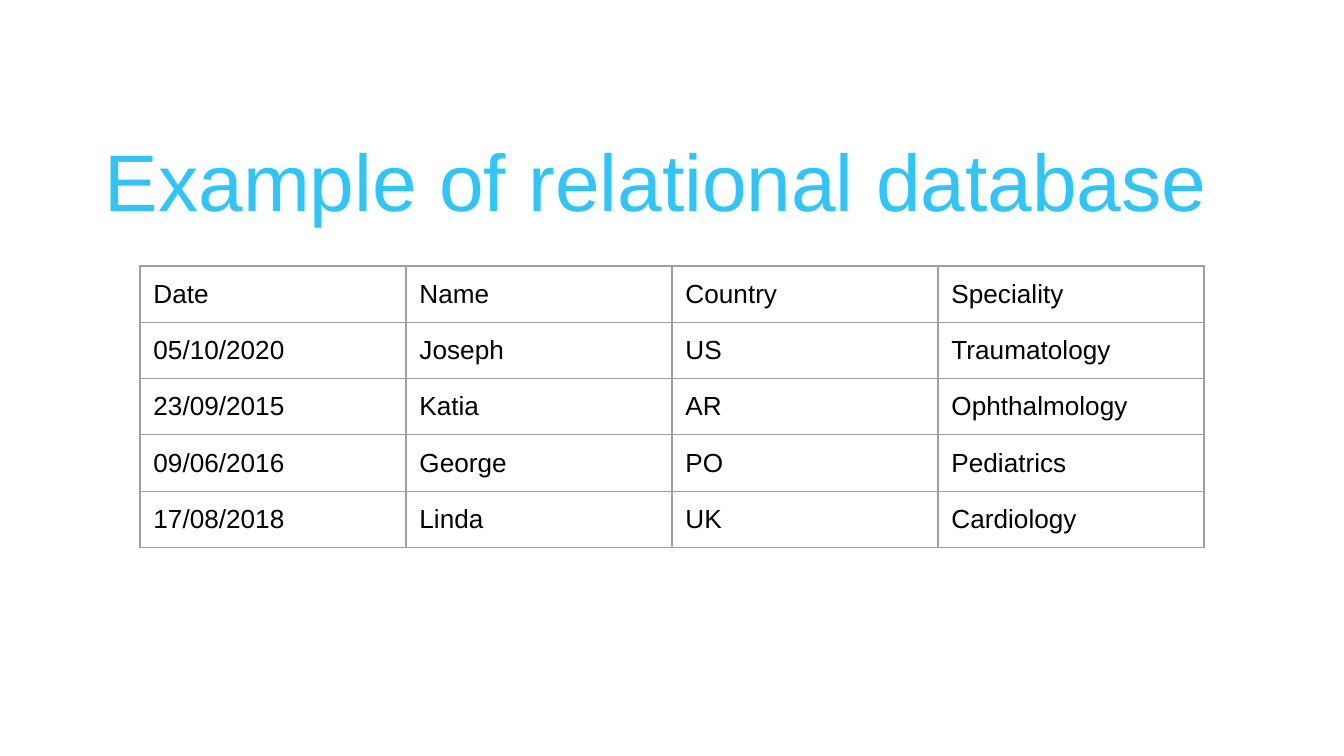
import pptx
import pptx.util
import pptx.dml.color
import pptx.enum.text
import pptx.oxml
import pptx.oxml.ns

Pt = pptx.util.Pt

TITLE = "Example of relational database"
ROWS = [
    ("Date", "Name", "Country", "Speciality"),
    ("05/10/2020", "Joseph", "US", "Traumatology"),
    ("23/09/2015", "Katia", "AR", "Ophthalmology"),
    ("09/06/2016", "George", "PO", "Pediatrics"),
    ("17/08/2018", "Linda", "UK", "Cardiology"),
]
COLORS = {"title": "2DC5FA", "text": "000000", "line": "9E9E9E"}
INSET = 7.2
LEFT, TOP, WIDE, HIGH = 75, 142.5, 142.5, 30


def write(frame, text, size, color):
    para = frame.paragraphs[0]
    para.alignment = pptx.enum.text.PP_ALIGN.LEFT
    run = para.add_run()
    run.text = text
    run.font.size = Pt(size)
    run.font.name = "Arial"
    run.font.color.rgb = pptx.dml.color.RGBColor.from_string(COLORS[color])


def inset(part, top=INSET):
    part.margin_left = part.margin_right = part.margin_bottom = Pt(INSET)
    part.margin_top = Pt(top)


def border(cell):
    props = cell._tc.get_or_add_tcPr()
    space = pptx.oxml.ns.nsdecls("a")
    for index, side in enumerate(("lnL", "lnR", "lnT", "lnB")):
        line = pptx.oxml.parse_xml(
            f'<a:{side} {space} w="{Pt(0.75)}"><a:solidFill>'
            f'<a:srgbClr val="{COLORS["line"]}"/></a:solidFill></a:{side}>'
        )
        props.insert(index, line)


deck = pptx.Presentation()
deck.slide_width, deck.slide_height = Pt(720), Pt(405)
slide = deck.slides.add_slide(deck.slide_layouts[0])
sub = slide.placeholders[1].element
sub.getparent().remove(sub)

title = slide.shapes.title
title.left, title.top, title.width, title.height = Pt(49), Pt(58.3), Pt(615), Pt(161.3)
frame = title.text_frame
frame.word_wrap = True
frame.auto_size = pptx.enum.text.MSO_AUTO_SIZE.NONE
frame.vertical_anchor = pptx.enum.text.MSO_ANCHOR.TOP
inset(frame, top=12)
write(frame, TITLE, size=43, color="title")

count = len(ROWS[0])
table = slide.shapes.add_table(
    len(ROWS), count, Pt(LEFT), Pt(TOP), Pt(WIDE * count), Pt(HIGH * len(ROWS))
).table
table.first_row = table.horz_banding = False
for column in table.columns:
    column.width = Pt(WIDE)
for row, texts in zip(table.rows, ROWS):
    row.height = Pt(HIGH)
    for cell, text in zip(row.cells, texts):
        cell.fill.background()
        inset(cell)
        border(cell)
        write(cell.text_frame, text, size=14, color="text")

deck.save("out.pptx")
